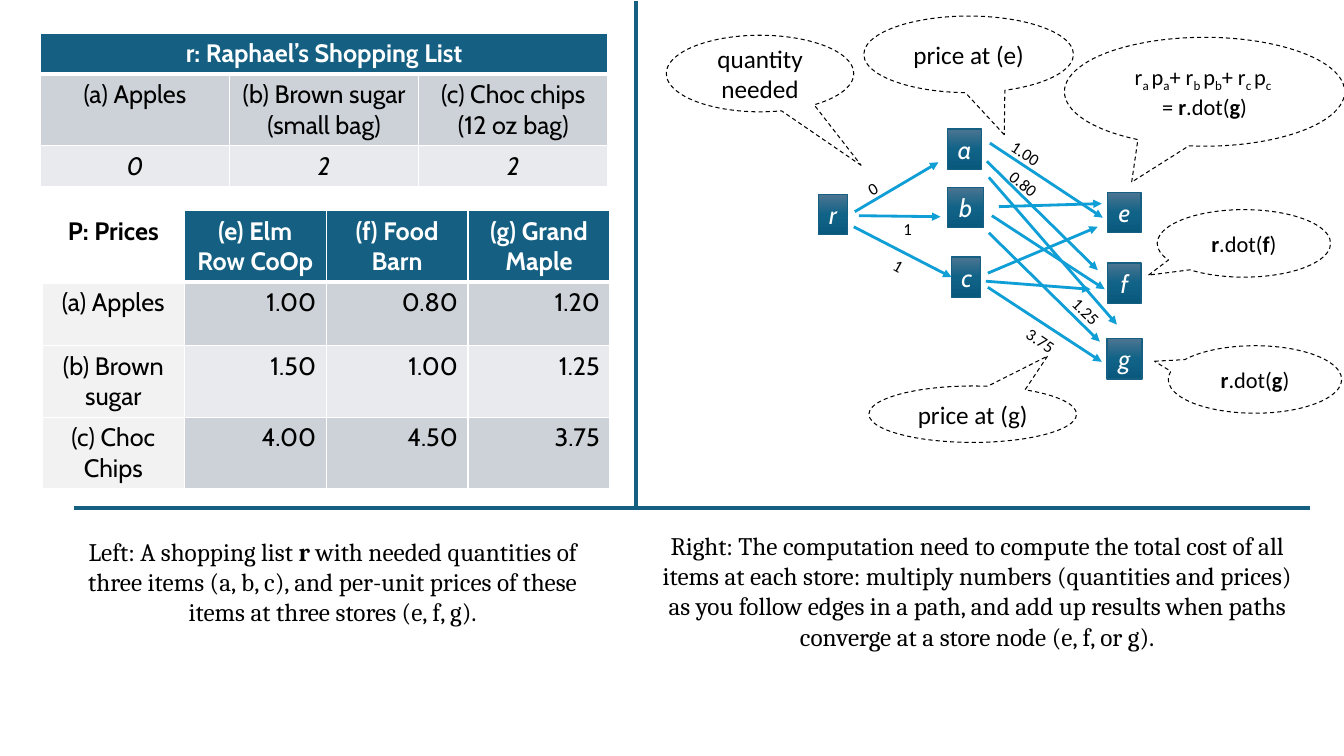
from copy import deepcopy
from dataclasses import dataclass

from lxml import etree
from pptx import Presentation
from pptx.dml.color import RGBColor
from pptx.enum.dml import MSO_LINE
from pptx.enum.shapes import MSO_CONNECTOR, MSO_SHAPE
from pptx.enum.text import MSO_ANCHOR, MSO_AUTO_SIZE, PP_ALIGN
from pptx.oxml.ns import qn
from pptx.util import Inches, Pt

CENTER, RIGHT = PP_ALIGN.CENTER, PP_ALIGN.RIGHT
TOP, MIDDLE = MSO_ANCHOR.TOP, MSO_ANCHOR.MIDDLE
GROW = MSO_AUTO_SIZE.SHAPE_TO_FIT_TEXT
RECT, CALLOUT = MSO_SHAPE.RECTANGLE, MSO_SHAPE.OVAL_CALLOUT
STRAIGHT, DASH = MSO_CONNECTOR.STRAIGHT, MSO_LINE.DASH
COLS, ROWS = 133.33, 75


@dataclass(frozen=True)
class Theme:
    main: str = "156082"
    edge: str = "0F9ED5"
    ink: str = "000000"
    paper: str = "FFFFFF"
    stub: str = "F2F2F2"
    bands: tuple = ("CCD2D8", "E8EAED")
    node: tuple = ("4C7591", "106287", "09597D")
    table_font: str = "Cabin"
    graph_font: str = "Calibri"
    caption_font: str = "Cambria"
    body: int = 18
    formula: int = 16
    label: int = 12


def rgb(color):
    return RGBColor.from_string(color)


class Canvas:
    def __init__(self, prs, theme):
        self.t = theme
        self.s = prs.slides.add_slide(prs.slide_layouts[6])
        self.col = prs.slide_width / COLS
        self.row = prs.slide_height / ROWS

    def box(self, x, y, w, h):
        return (round(x * self.col), round(y * self.row),
                round(w * self.col), round(h * self.row))

    def rich(self, tf, text, font, size, color=None, bold=False, italic=False, align=CENTER):
        """Stars enclose bold text and tildes enclose subscripts."""
        for i, line in enumerate(text.split("\n")):
            p = tf.add_paragraph() if i else tf.paragraphs[0]
            p.alignment = align
            for j, part in enumerate(line.split("*")):
                for k, piece in enumerate(part.split("~")):
                    if not piece:
                        continue
                    r = p.add_run()
                    r.text = piece
                    r.font.name, r.font.size = font, Pt(size)
                    r.font.bold, r.font.italic = bold or j % 2 == 1, italic
                    r.font.color.rgb = rgb(color or self.t.ink)
                    if k % 2:
                        r.font._element.set("baseline", "-25000")

    def text(self, text, x, y, w, h, font, size, angle=0):
        sp = self.s.shapes.add_textbox(*self.box(x, y, w, h))
        sp.rotation = angle
        tf = sp.text_frame
        tf.word_wrap, tf.auto_size = True, GROW
        self.rich(tf, text, font, size)

    def label(self, text, x, y, w, angle):
        self.text(text, x, y, w, 3, self.t.graph_font, self.t.label, angle)

    def node(self, name, x, y, w, anchor=TOP):
        sp = self.s.shapes.add_shape(RECT, *self.box(x, y, w, 4))
        sp.shadow.inherit = False
        sp.fill.gradient()
        sp.fill.gradient_angle = 270
        stops = sp._element.spPr.find(qn("a:gradFill")).find(qn("a:gsLst"))
        stops.insert(1, deepcopy(stops[0]))
        for i, stop in enumerate(sp.fill.gradient_stops):
            stop.position = i / 2
            stop.color.rgb = rgb(self.t.node[i])
        sp.line.color.rgb, sp.line.width = rgb(self.t.main), Pt(1)
        tf = sp.text_frame
        tf.word_wrap, tf.auto_size, tf.vertical_anchor = False, GROW, anchor
        self.rich(tf, name, self.t.table_font, self.t.body, self.t.paper, italic=True)

    def callout(self, text, x, y, w, h, tip, size):
        sp = self.s.shapes.add_shape(CALLOUT, *self.box(x, y, w, h))
        sp.shadow.inherit = False
        sp.adjustments[0], sp.adjustments[1] = tip
        sp.fill.background()
        sp.line.color.rgb, sp.line.width = rgb(self.t.ink), Pt(0.75)
        sp.line.dash_style = DASH
        sp.text_frame.word_wrap, sp.text_frame.vertical_anchor = True, MIDDLE
        self.rich(sp.text_frame, text, self.t.graph_font, size)

    def line(self, x1, y1, x2, y2, color, width, arrow=False):
        ends = self.box(x1, y1, x2, y2)
        cx = self.s.shapes.add_connector(STRAIGHT, *ends)
        cx.line.color.rgb, cx.line.width = rgb(color), Pt(width)
        if arrow:
            etree.SubElement(cx.line._get_or_add_ln(), qn("a:tailEnd"), type="triangle")
        etree.SubElement(cx._element.spPr, qn("a:effectLst"))

    def borders(self, cell, bottom):
        tc_pr = cell._tc.get_or_add_tcPr()
        for i, (side, width) in enumerate(zip("LRTB", (1, 1, 1, bottom))):
            ln = etree.Element(qn(f"a:ln{side}"), w=str(int(Pt(width))))
            fill = etree.SubElement(ln, qn("a:solidFill"))
            etree.SubElement(fill, qn("a:srgbClr"), val=self.t.paper)
            tc_pr.insert(i, ln)

    def table(self, rows, x, y, w, heights, look):
        frame = self.s.shapes.add_table(len(rows), len(rows[0]),
                                        *self.box(x, y, w, sum(heights)))
        tb = frame.table
        tb.horz_banding = False
        for c in tb.columns:
            c.width = round(w * self.col / len(rows[0]))
        for i, (row, height) in enumerate(zip(rows, heights)):
            tb.rows[i].height = round(height * self.row)
            for j, text in enumerate(row):
                cell = tb.cell(i, j)
                fill, style = look(i, j)
                if fill:
                    cell.fill.solid()
                    cell.fill.fore_color.rgb = rgb(fill)
                else:
                    cell.fill.background()
                self.borders(cell, 1 if i else 3)
                self.rich(cell.text_frame, text, self.t.table_font, self.t.body,
                          bold=i == 0, **style)
        return tb


def draw_tables(c, t):
    def list_look(i, j):
        if i == 0:
            return t.main, {"color": t.paper}
        return t.bands[i - 1], {"italic": i == 2}

    def price_look(i, j):
        if i == 0:
            return (t.main, {"color": t.paper}) if j else (None, {})
        return (t.bands[(i - 1) % 2], {"align": RIGHT}) if j else (t.stub, {})

    shopping = [("r: Raphael’s Shopping List", "", ""),
                ("(a) Apples", "(b) Brown sugar (small bag)", "(c) Choc chips (12 oz bag)"),
                ("0", "2", "2")]
    prices = [("P: Prices", "(e) Elm Row CoOp", "(f) Food Barn", "(g) Grand Maple"),
              ("(a) Apples", "1.00", "0.80", "1.20"),
              ("(b) Brown sugar", "1.50", "1.00", "1.25"),
              ("(c) Choc Chips", "4.00", "4.50", "3.75")]
    tb = c.table(shopping, 4, 3.3, 56.3, (4, 7, 4), list_look)
    tb.cell(0, 0).merge(tb.cell(0, 2))
    c.table(prices, 4.2, 20.9, 56.3, (7, 6.3, 7, 7), price_look)


def draw_graph(c, t):
    nodes = [("a", 94, 12.8, 3.4), ("b", 94, 18.6, 3.6), ("c", 94.4, 25.5, 2.9),
             ("e", 109.9, 19.1, 3.3), ("f", 109.9, 26.1, 3.3), ("g", 109.8, 33.6, 3.5),
             ("r", 81.2, 19.3, 2.9, MIDDLE)]
    edges = [(84.8, 21, 93.1, 16.1), (85.2, 21.4, 93.3, 21.5), (84.7, 22.5, 94.4, 27.5),
             (98.2, 14.2, 109.4, 21.6), (97.9, 16, 108.9, 26.8), (98.1, 17.6, 110.8, 32.2),
             (99.1, 20.5, 109.3, 20.2), (98.4, 21.4, 109.6, 28.7), (98.1, 23.1, 109.1, 33.9),
             (98, 27.1, 108.9, 22.5), (97.8, 27.9, 108.2, 28.7), (98, 28.5, 109.3, 35.9)]
    labels = [("0", 82.8, 17.2, 7.5, 330.3), ("1", 86.3, 21.2, 7.5, 0),
              ("1", 85.4, 24.9, 7.5, 29.6), ("1.00", 97.1, 13.7, 9.3, 32.8),
              ("0.80", 96.9, 16.7, 9.3, 39.6), ("1.25", 104, 29.4, 7.5, 44.2),
              ("3.75", 99.5, 32.3, 7.5, 34)]
    callouts = [("quantity needed", 66.1, 3.5, 18.6, 7.6, (0.54, 1.2), t.body),
                ("price at (e)", 85.7, 1.6, 20.8, 7.6, (0.17, 1.05), t.body),
                ("price at (g)", 86.2, 38.3, 20.6, 5.6, (0.36, -1.03), t.body),
                ("r~a ~p~a~+ r~b ~p~b~+ r~c ~p~c ~\n= *r*.dot(*g*)",
                 105.6, 3.7, 27.8, 10.8, (-0.26, 0.83), t.formula),
                ("*r*.dot(*f*)", 114.8, 20.8, 17.2, 6.7, (-0.55, 0.47), t.formula),
                ("*r*.dot(*g*)", 115.9, 34.3, 17.2, 6.7, (-0.58, -0.27), t.formula)]
    for node in nodes:
        c.node(*node)
    for edge in edges:
        c.line(*edge, t.edge, 2, arrow=True)
    for label in labels:
        c.label(*label)
    for callout in callouts:
        c.callout(*callout)


def main():
    prs = Presentation()
    prs.slide_width, prs.slide_height = Inches(13.33), Inches(7.5)
    t = Theme()
    c = Canvas(prs, t)
    c.line(63.1, 0.1, 63.1, 50.4, t.main, 3)
    c.line(130, 50.4, 7.3, 50.4, t.main, 3)
    draw_tables(c, t)
    draw_graph(c, t)
    c.text("Left: A shopping list *r *with needed quantities of three items (a, b, c), "
           "and per-unit prices of these items at three stores (e, f, g).",
           7.3, 52.7, 51.4, 10.1, t.caption_font, t.body)
    c.text("Right: The computation need to compute the total cost of all items at each "
           "store: multiply numbers (quantities and prices) as you follow edges in a path, "
           "and add up results when paths converge at a store node (e, f, or g).",
           64.5, 52.1, 64.9, 13.1, t.caption_font, t.body)
    prs.save("out.pptx")


if __name__ == "__main__":
    main()
